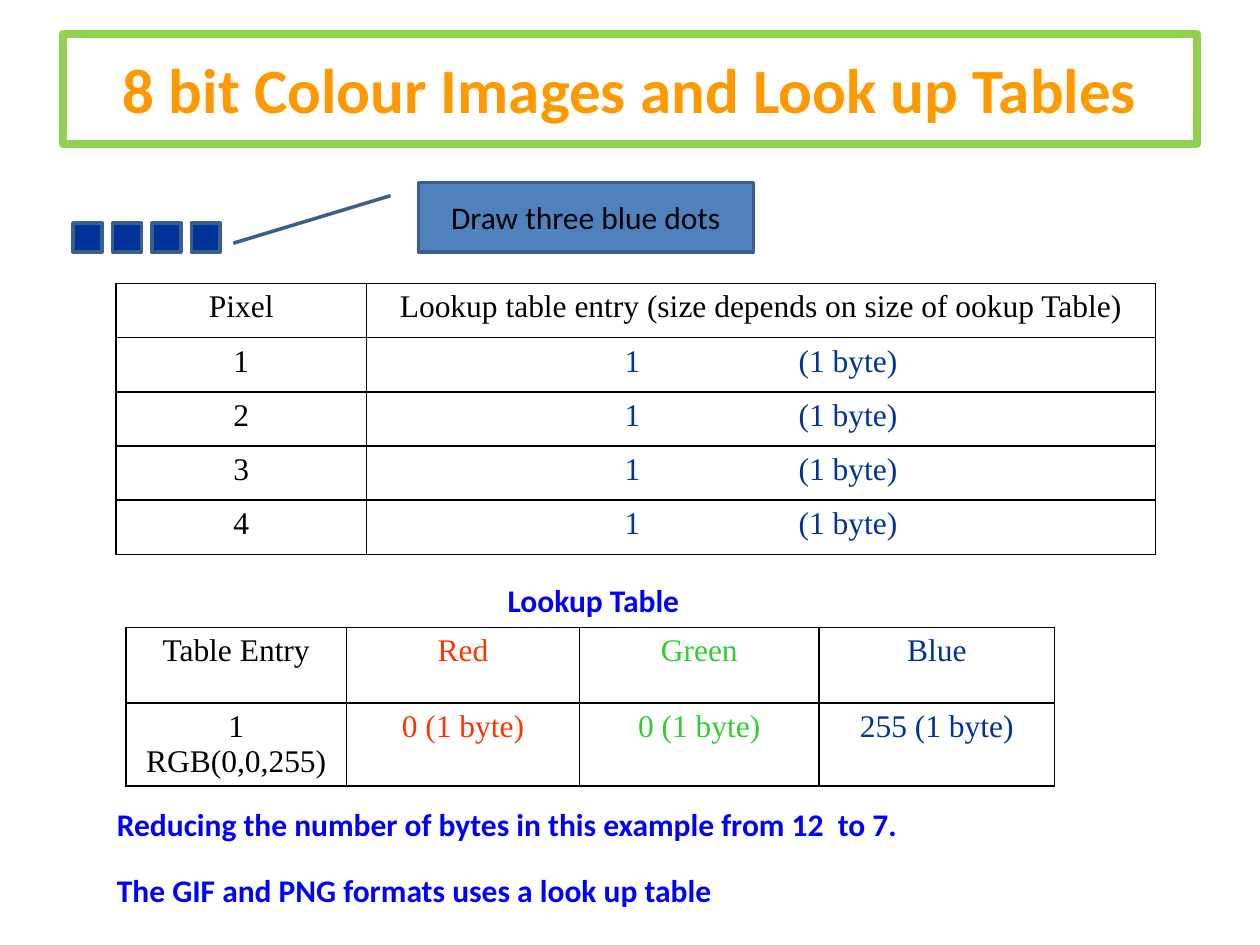
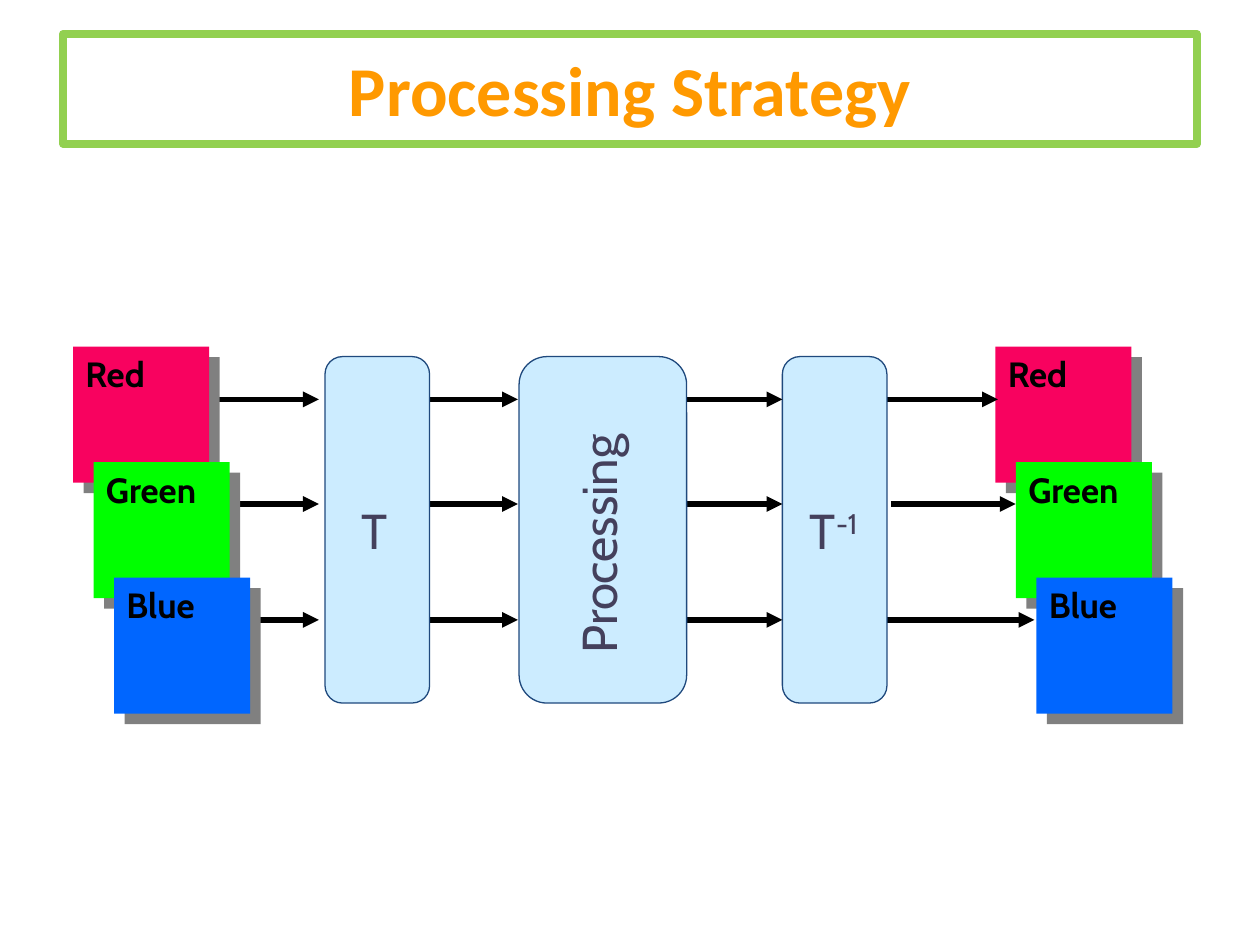
from lxml.etree import SubElement
from pptx import Presentation
from pptx.dml.color import RGBColor
from pptx.enum.shapes import MSO_CONNECTOR, MSO_SHAPE
from pptx.enum.text import MSO_ANCHOR, PP_ALIGN
from pptx.oxml.ns import qn
from pptx.util import Inches, Pt

BLACK = RGBColor(0x00, 0x00, 0x00)
ORANGE = RGBColor(0xFF, 0x99, 0x00)
LIME = RGBColor(0x92, 0xD0, 0x50)
NAVY = RGBColor(0x00, 0x33, 0x99)
STEEL = RGBColor(0x4F, 0x81, 0xBD)
STEEL_EDGE = RGBColor(0x3A, 0x5F, 0x8C)
NOTE_BLUE = RGBColor(0x00, 0x00, 0xFF)
TABLE_RED = RGBColor(0xFF, 0x33, 0x00)
TABLE_GREEN = RGBColor(0x33, 0xCC, 0x33)
PINK = RGBColor(0xF8, 0x02, 0x5F)
BRIGHT_GREEN = RGBColor(0x00, 0xFF, 0x00)
BRIGHT_BLUE = RGBColor(0x00, 0x66, 0xFF)
PALE = RGBColor(0xCC, 0xEC, 0xFF)
STAGE_EDGE = RGBColor(0x1F, 0x49, 0x7D)
SLATE = RGBColor(0x44, 0x40, 0x5C)

SANS, SERIF, LABEL = "Calibri", "Times New Roman", "Cabin"
WIDTH, HEIGHT = 10, 7.5

LOOKUP_TITLE = "8 bit Colour Images and Look up Tables"
PIXEL_ROWS = [["Pixel", "Lookup table entry (size depends on size of ookup Table)"]]
PIXEL_ROWS += [[str(pixel), "1 \t\t\t(1 byte)"] for pixel in range(1, 5)]
ENTRY_ROWS = [
    ["Table Entry", "Red", "Green", "Blue"],
    ["1\nRGB(0,0,255)", "0 (1 byte)", "0 (1 byte)", "255 (1 byte)"],
]
ENTRY_COLOURS = [BLACK, TABLE_RED, TABLE_GREEN, NAVY]
CONCLUSIONS = [
    "Reducing the number of bytes in this example from 12  to 7.",
    "The GIF and PNG formats uses a look up table",
]

STRATEGY_TITLE = "Processing Strategy"
CHANNELS = [("Red", PINK), ("Green", BRIGHT_GREEN), ("Blue", BRIGHT_BLUE)]
STACK_LEFT, STACK_RIGHT = 0.58, 7.9
ARROW_ROWS = [3.17, 4, 4.92]
STAGES = [
    {"box": (6.21, 0.83), "label": [("T", 0), ("-1", 30)], "text": (6.33, 3.92, 0.64, 0.57),
     "starts": (6.98, 7.07, 7.03), "ends": (7.92, 8.06, 8.21)},
    {"box": (4.12, 1.33), "label": [("Processing", 0)], "text": (3.74, 3.99, 2.02, 0.57),
     "turn": 270, "starts": (5.26, 5.42, 5.42), "ends": (6.21,) * 3},
    {"box": (2.58, 0.83), "label": [("T", 0)], "text": (2.77, 3.92, 0.43, 0.57),
     "starts": (3.17, 3.32, 3.32), "ends": (4.11,) * 3},
]
INPUT_STARTS, INPUT_ENDS = (1.58, 1.74, 1.74), (2.53,) * 3


def add_span(para, text, font, size, colour, bold=False):
    span = para.add_run()
    span.text = text
    span.font.name = font
    span.font.size = Pt(size)
    span.font.bold = bold
    span.font.color.rgb = colour
    return span


def add_box(page, kind, place, fill=None, edge=None, weight=1):
    box = page.shapes.add_shape(kind, *map(Inches, place))
    box.shadow.inherit = False
    if fill is None:
        box.fill.background()
    else:
        box.fill.solid()
        box.fill.fore_color.rgb = fill
    if edge is None:
        box.line.fill.background()
    else:
        box.line.color.rgb = edge
        box.line.width = Pt(weight)
    return box


def centre_text(box, text, size, colour, bold=False):
    box.text_frame.word_wrap = True
    box.text_frame.vertical_anchor = MSO_ANCHOR.MIDDLE
    para = box.text_frame.paragraphs[0]
    para.alignment = PP_ALIGN.CENTER
    add_span(para, text, SANS, size, colour, bold)


def add_text(page, place, lines, font, size, colour, align=PP_ALIGN.LEFT, gap=0):
    box = page.shapes.add_textbox(*map(Inches, place))
    frame = box.text_frame
    frame.word_wrap = True
    for index, line in enumerate(lines):
        para = frame.add_paragraph() if index else frame.paragraphs[0]
        para.alignment = align
        para.space_before = Pt(gap if index else 0)
        add_span(para, line, font, size, colour, bold=True)


def add_page(deck, title, size):
    page = deck.slides.add_slide(deck.slide_layouts[6])
    place = (0.05 * WIDTH, 0.27, 0.9 * WIDTH, 0.87)
    band = add_box(page, MSO_SHAPE.RECTANGLE, place, edge=LIME, weight=4.5)
    centre_text(band, title, size, ORANGE, bold=True)
    return page


def fill_cell(cell, text, colour):
    properties = cell._tc.get_or_add_tcPr()
    for side in ("a:lnL", "a:lnR", "a:lnT", "a:lnB"):
        border = SubElement(properties, qn(side), w=str(Pt(1)))
        paint = SubElement(border, qn("a:solidFill"))
        SubElement(paint, qn("a:srgbClr"), val=str(BLACK))
    cell.fill.background()
    for index, line in enumerate(text.split("\n")):
        frame = cell.text_frame
        para = frame.add_paragraph() if index else frame.paragraphs[0]
        para.alignment = PP_ALIGN.CENTER
        indent = para._p.get_or_add_pPr()
        indent.set("marL", str(Inches(0.38)))
        indent.set("indent", str(Inches(-0.38)))
        add_span(para, line, SERIF, 18, colour)


def add_grid(page, left, top, widths, heights, rows, colour_of):
    place = (left, top, sum(widths), sum(heights))
    grid = page.shapes.add_table(len(rows), len(widths), *map(Inches, place)).table
    grid.first_row = grid.horz_banding = False
    for column, width in zip(grid.columns, widths):
        column.width = Inches(width)
    for r, row in enumerate(rows):
        grid.rows[r].height = Inches(heights[r])
        for c, text in enumerate(row):
            fill_cell(grid.cell(r, c), text, colour_of(r, c))


def add_arrows(page, starts, ends):
    for start, end, y in zip(starts, ends, ARROW_ROWS):
        ends_at = map(Inches, (start, y, end, y))
        arrow = page.shapes.add_connector(MSO_CONNECTOR.STRAIGHT, *ends_at)
        arrow.line.color.rgb = BLACK
        arrow.line.width = Pt(3)
        SubElement(arrow.line._get_or_add_ln(), qn("a:tailEnd"), type="triangle")
        SubElement(arrow._element.spPr, qn("a:effectLst"))


def add_drop_shadow(box):
    effects = box._element.spPr.find(qn("a:effectLst"))
    shadow = SubElement(effects, qn("a:outerShdw"), dist=str(Pt(8.5)),
                        dir=str(45 * 60000), algn="ctr", rotWithShape="0")
    SubElement(shadow, qn("a:srgbClr"), val="808080")


def add_channel_stack(page, left):
    side = 1.08
    for index, (name, colour) in enumerate(CHANNELS):
        x, y = left + 0.163 * index, 2.75 + 0.917 * index
        square = add_box(page, MSO_SHAPE.RECTANGLE, (x, y, side, side), colour)
        add_drop_shadow(square)
        add_text(page, (x, y, 1.17, 0.43), [name], LABEL, 20, BLACK)


def add_stage(page, stage):
    add_arrows(page, stage["starts"], stage["ends"])
    left, width = stage["box"]
    add_box(page, MSO_SHAPE.ROUNDED_RECTANGLE, (left, 2.83, width, 2.75),
            PALE, STAGE_EDGE, 0.75)
    label = page.shapes.add_textbox(*map(Inches, stage["text"]))
    label.rotation = stage.get("turn", 0)
    label.text_frame.word_wrap = False
    for text, rise in stage["label"]:
        span = add_span(label.text_frame.paragraphs[0], text, LABEL, 28, SLATE)
        if rise:
            span.font._element.set("baseline", str(rise * 1000))


def build_lookup_page(deck):
    page = add_page(deck, LOOKUP_TITLE, 36)
    for dot in range(4):
        add_box(page, MSO_SHAPE.RECTANGLE, (0.58 + 0.313 * dot, 1.77, 0.23, 0.23),
                NAVY, STEEL_EDGE, 2)
    callout = add_box(page, MSO_SHAPE.LINE_CALLOUT_1, (3.32, 1.45, 2.66, 0.55),
                      STEEL, STEEL_EDGE, 2)
    for index, value in enumerate((0.188, -0.083, 0.873, -0.552)):
        callout.adjustments[index] = value
    centre_text(callout, "Draw three blue dots", 18, BLACK)
    add_grid(page, 0.92, 2.25, [1.99, 6.26], [0.43] * 5, PIXEL_ROWS,
             lambda r, c: NAVY if r and c else BLACK)
    add_grid(page, 1, 4.98, [1.75, 1.85, 1.9, 1.87], [0.6, 0.66], ENTRY_ROWS,
             lambda r, c: ENTRY_COLOURS[c])
    add_text(page, (1, 4.56, 7.42, 0.4), ["Lookup Table"], SANS, 18, NOTE_BLUE,
             PP_ALIGN.CENTER)
    add_text(page, (0.83, 6.34, 8.5, 0.86), CONCLUSIONS, SANS, 18, NOTE_BLUE, gap=16)


def build_strategy_page(deck):
    page = add_page(deck, STRATEGY_TITLE, 40)
    add_channel_stack(page, STACK_RIGHT)
    for stage in STAGES:
        add_stage(page, stage)
    add_arrows(page, INPUT_STARTS, INPUT_ENDS)
    add_channel_stack(page, STACK_LEFT)


def main():
    deck = Presentation()
    deck.slide_width, deck.slide_height = Inches(WIDTH), Inches(HEIGHT)
    build_lookup_page(deck)
    build_strategy_page(deck)
    deck.save("out.pptx")


if __name__ == "__main__":
    main()
